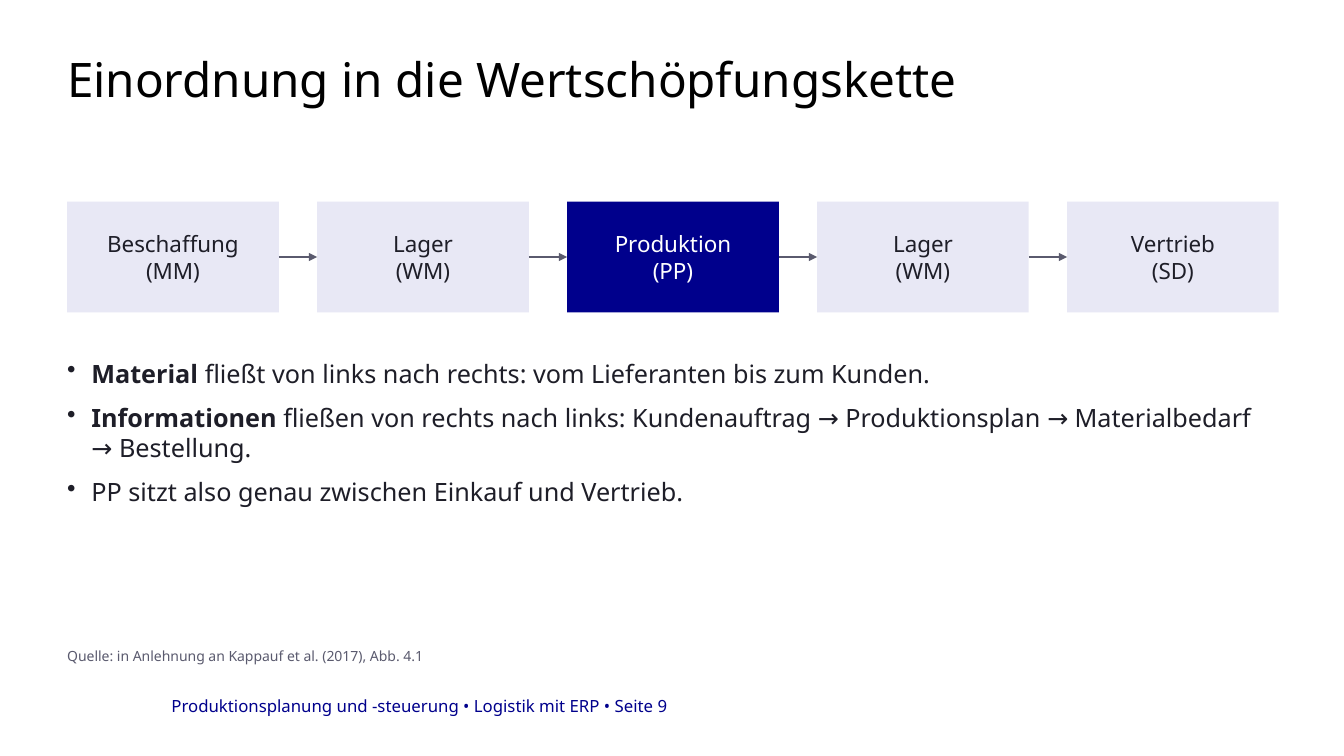
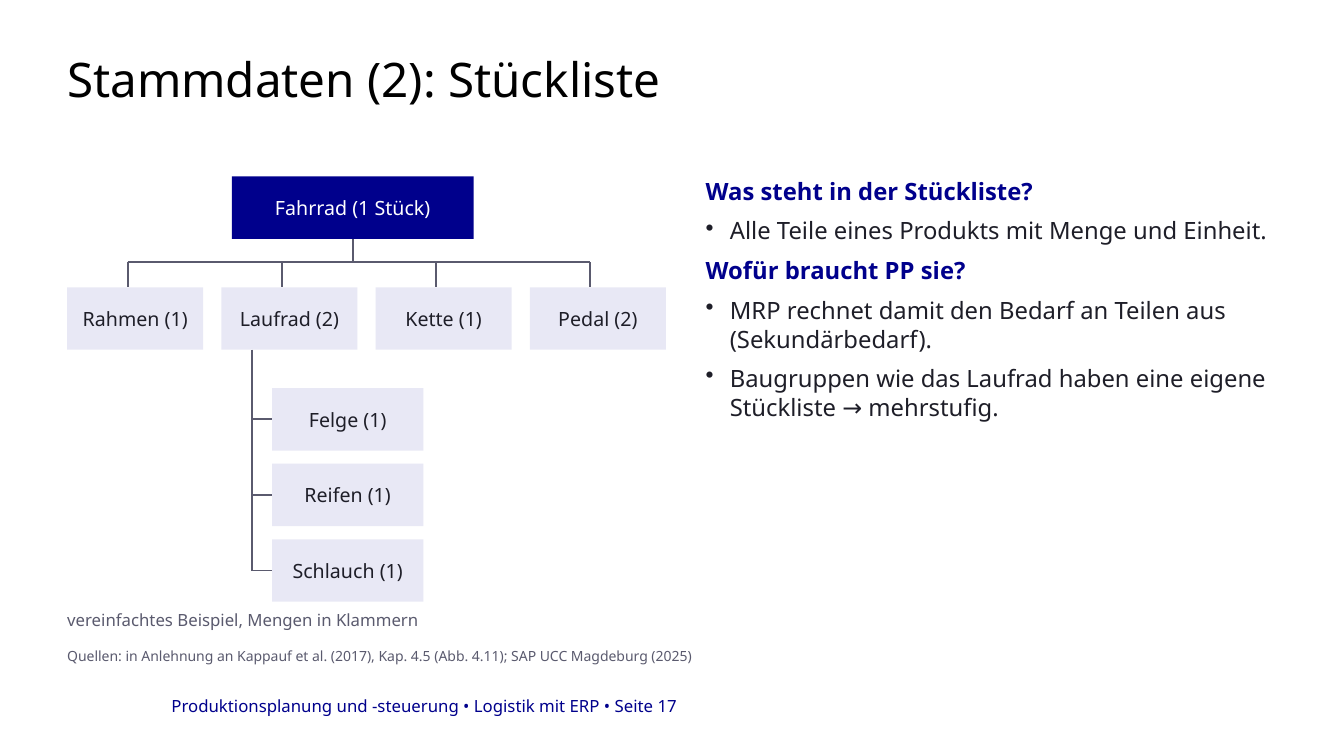
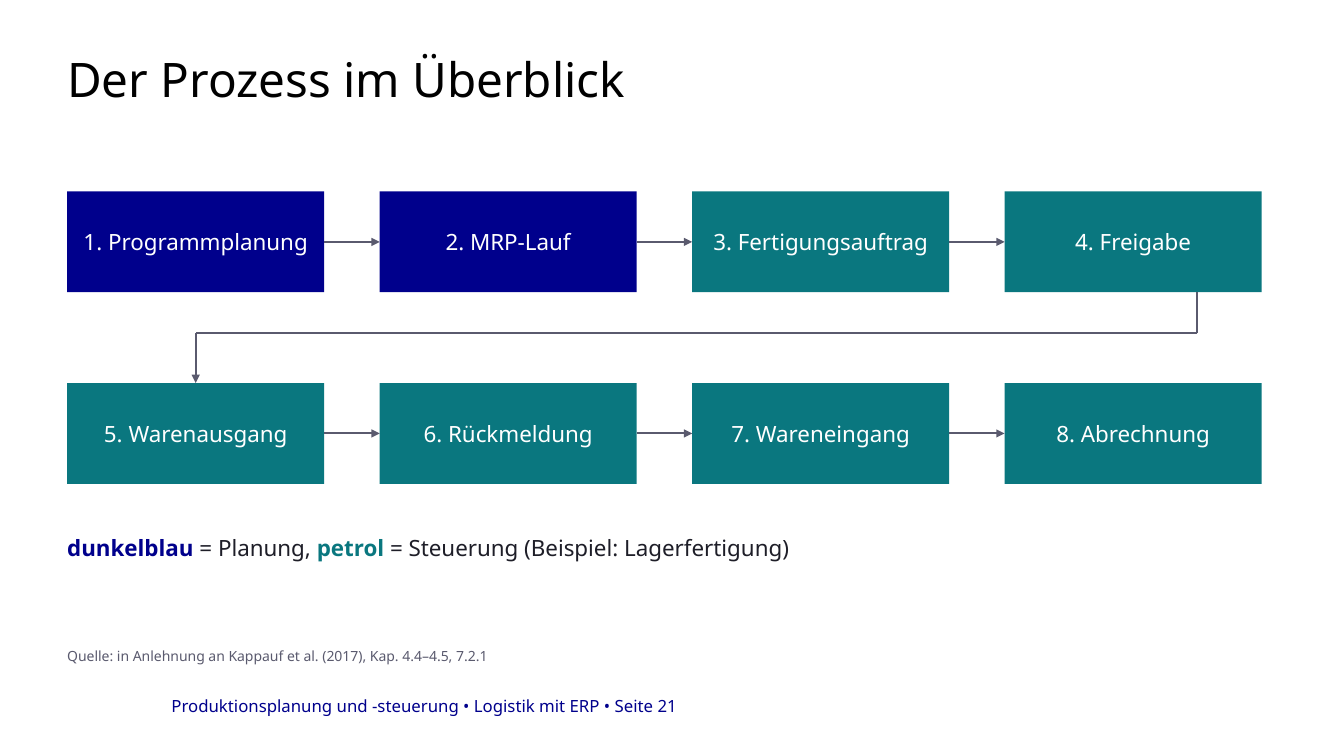
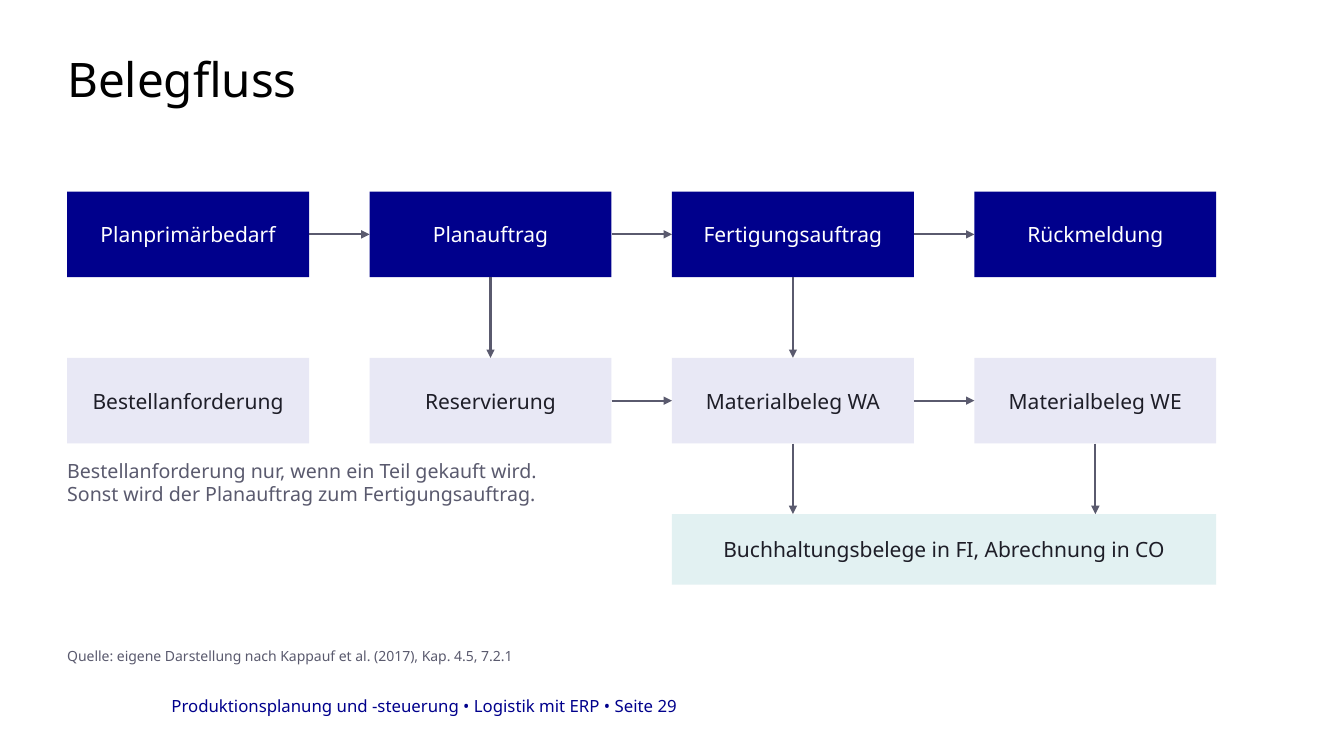
from lxml import etree
from pptx import Presentation
from pptx.dml.color import RGBColor
from pptx.enum import shapes, text
from pptx.oxml import ns
from pptx.util import Pt

FONT = "Noto Sans"
NAVY, PETROL, LAVENDER, MINT = "00008C", "0A777F", "E8E8F5", "E2F1F2"
INK, GREY, BLACK, WHITE = "1E1E28", "5A5A6E", "000000", "FFFFFF"
MARGIN, CONTENT_WIDTH = 48, 864
SITES = [(0.5, 0), (0, 0.5), (0.5, 1), (1, 0.5)]
TOP, LEFT, BOTTOM, RIGHT = range(4)


def apply(target, formats):
    for name, value in formats.items():
        setattr(target, name, value)


def paint(fill, colour):
    fill.solid()
    fill.fore_color.rgb = RGBColor.from_string(colour)


def add_bullet(paragraph):
    properties = paragraph._p.get_or_add_pPr()
    properties.set("marL", str(Pt(17.28)))
    properties.set("indent", str(-Pt(17.28)))
    etree.SubElement(properties, ns.qn("a:buChar")).set("char", "•")


def run(content, colour=INK, bold=False):
    return content, colour, bold


def write(frame, paragraphs, size, insets=(0, 0), bulleted=(), anchor=text.MSO_ANCHOR.TOP, **formats):
    side, top = insets
    apply(frame, {
        "word_wrap": True, "vertical_anchor": anchor,
        "margin_left": Pt(side), "margin_right": Pt(side),
        "margin_top": Pt(top), "margin_bottom": Pt(top),
    })
    for index, runs in enumerate(paragraphs):
        paragraph = frame.add_paragraph() if index else frame.paragraphs[0]
        if index in bulleted:
            add_bullet(paragraph)
        apply(paragraph, formats)
        for content, colour, bold in runs:
            piece = paragraph.add_run()
            piece.text = content
            apply(piece.font, {"name": FONT, "size": Pt(size), "bold": bold})
            paint(piece.font.fill, colour)


def add_text(slide, area, paragraphs, size, **formats):
    shape = slide.shapes.add_textbox(*map(Pt, area))
    write(shape.text_frame, paragraphs, size, **formats)
    return shape


def add_box(slide, area, label, fill, size, side=10.8, after=4):
    box = slide.shapes.add_shape(shapes.MSO_SHAPE.RECTANGLE, *map(Pt, area))
    box.shadow.inherit = False
    paint(box.fill, fill)
    box.line.fill.background()
    colour = WHITE if fill in (NAVY, PETROL) else INK
    write(box.text_frame, [[run(line, colour)] for line in label.split("\n")], size,
          insets=(side, 4.32), anchor=text.MSO_ANCHOR.MIDDLE,
          alignment=text.PP_ALIGN.CENTER, space_after=Pt(after))
    return box


def add_grid(slide, area, pitch, rows, size, **formats):
    left, top, width, height = area
    across, down = pitch
    return [[add_box(slide, (left + column * across, top + row * down, width, height),
                     label, fill, size, **formats)
             for column, (label, fill) in enumerate(cells)]
            for row, cells in enumerate(rows)]


def site_point(box, site):
    across, down = SITES[site]
    return (box.left + across * box.width) / Pt(1), (box.top + down * box.height) / Pt(1)


def connect(slide, start, end, weight=1.5, arrow=True):
    joined = [not isinstance(place[0], (int, float)) for place in (start, end)]
    points = [site_point(*place) if join else place for place, join in zip((start, end), joined)]
    connector = slide.shapes.add_connector(
        shapes.MSO_CONNECTOR.STRAIGHT, *(Pt(value) for point in points for value in point))
    if joined[0]:
        connector.begin_connect(*start)
    if joined[1]:
        connector.end_connect(*end)
    connector.line.width = Pt(weight)
    paint(connector.line.fill, GREY)
    if arrow:
        line = connector.line._get_or_add_ln()
        etree.SubElement(line, ns.qn("a:tailEnd")).set("type", "triangle")
    etree.SubElement(connector._element.spPr, ns.qn("a:effectLst"))


def chain(slide, boxes):
    for first, second in zip(boxes, boxes[1:]):
        connect(slide, (first, RIGHT), (second, LEFT))


def new_slide(presentation, title, source, page):
    slide = presentation.slides.add_slide(presentation.slide_layouts[6])
    footer = f"Produktionsplanung und -steuerung • Logistik mit ERP • Seite {page}"
    add_text(slide, (122.4, 496.8, 569.5, 14.4), [[run(footer, NAVY)]], 12)
    heading = add_text(slide, (MARGIN, 31.7, CONTENT_WIDTH, 51), [[run(title, BLACK)]], 34,
                       line_spacing=0.9)
    heading.text_frame.margin_top = Pt(8.64)
    add_text(slide, (MARGIN, 462.24, CONTENT_WIDTH, 21.6), [[run(source, GREY)]], 10,
             space_after=Pt(4))
    return slide


def value_chain_slide(presentation):
    slide = new_slide(presentation, "Einordnung in die Wertschöpfungskette",
                      "Quelle: in Anlehnung an Kappauf et al. (2017), Abb. 4.1", 9)
    steps = [("Beschaffung\n(MM)", LAVENDER), ("Lager\n(WM)", LAVENDER), ("Produktion\n(PP)", NAVY),
             ("Lager\n(WM)", LAVENDER), ("Vertrieb\n(SD)", LAVENDER)]
    boxes, = add_grid(slide, (MARGIN, 144, 151.2, 79.2), (178.56, 0), [steps], 16, after=0)
    chain(slide, boxes)
    add_text(slide, (MARGIN, 255.6, CONTENT_WIDTH, 172.8), [
        [run("Material ", bold=True),
         run("fließt von links nach rechts: vom Lieferanten bis zum Kunden.")],
        [run("Informationen ", bold=True),
         run("fließen von rechts nach links: Kundenauftrag → Produktionsplan → "
             "Materialbedarf → Bestellung.")],
        [run("PP sitzt also genau zwischen Einkauf und Vertrieb.")],
    ], 18, bulleted=range(3), space_after=Pt(10))


def parts_tree(slide, left, top):
    height, small = 44.64, {"size": 14, "side": 3.6}
    thin = {"weight": 1.25, "arrow": False}
    assemblies_top, bus = top + 79.2, top + 61.2
    root = add_box(slide, (left + 117.6, top, 172.8, height), "Fahrrad (1 Stück)", NAVY, **small)
    names = ["Rahmen (1)", "Laufrad (2)", "Kette (1)", "Pedal (2)"]
    add_grid(slide, (left, assemblies_top, 97.2, height), (110.16, 0),
             [[(name, LAVENDER) for name in names]], **small)
    parts = add_grid(slide, (left + 146.4, top + 151.2, 108, height), (0, 54),
                     [[(name, LAVENDER)] for name in ("Felge (1)", "Reifen (1)", "Schlauch (1)")],
                     **small)
    drops = [left + 43.2 + 110.16 * index for index in range(len(names))]
    connect(slide, (root, BOTTOM), (site_point(root, BOTTOM)[0], bus), **thin)
    connect(slide, (drops[0], bus), (drops[-1], bus), **thin)
    for drop in drops:
        connect(slide, (drop, bus), (drop, assemblies_top), **thin)
    trunk = left + 132
    levels = [site_point(part, LEFT)[1] for part, in parts]
    connect(slide, (trunk, assemblies_top + height), (trunk, levels[-1]), **thin)
    for (part,), level in zip(parts, levels):
        connect(slide, (trunk, level), (part, LEFT), **thin)


def parts_list_slide(presentation):
    slide = new_slide(presentation, "Stammdaten (2): Stückliste",
                      "Quellen: in Anlehnung an Kappauf et al. (2017), Kap. 4.5 (Abb. 4.11); "
                      "SAP UCC Magdeburg (2025)", 17)
    parts_tree(slide, MARGIN, 126)
    add_text(slide, (MARGIN, 435.6, 432, 21.6),
             [[run("vereinfachtes Beispiel, Mengen in Klammern", GREY)]], 12, space_after=Pt(4))
    add_text(slide, (504, 126, 408, 316.8), [
        [run("Was steht in der Stückliste?", NAVY, True)],
        [run("Alle Teile eines Produkts mit Menge und Einheit.")],
        [run("Wofür braucht PP sie?", NAVY, True)],
        [run("MRP rechnet damit den Bedarf an Teilen aus (Sekundärbedarf).")],
        [run("Baugruppen wie das Laufrad haben eine eigene Stückliste → mehrstufig.")],
    ], 17, bulleted=(1, 3, 4), space_after=Pt(8))


def process_slide(presentation):
    slide = new_slide(presentation, "Der Prozess im Überblick",
                      "Quelle: in Anlehnung an Kappauf et al. (2017), Kap. 4.4–4.5, 7.2.1", 21)
    names = ["Programmplanung", "MRP-Lauf", "Fertigungsauftrag", "Freigabe",
             "Warenausgang", "Rückmeldung", "Wareneingang", "Abrechnung"]
    steps = [(f"{number}. {name}", NAVY if number < 3 else PETROL)
             for number, name in enumerate(names, 1)]
    rows = add_grid(slide, (MARGIN, 136.8, 183.6, 72), (223.2, 136.8), [steps[:4], steps[4:]], 16)
    for boxes in rows:
        chain(slide, boxes)
    release, issue = rows[0][-1], rows[1][0]
    exit_x = (release.left + 0.75 * release.width) / Pt(1)
    exit_y = site_point(release, BOTTOM)[1]
    entry_x, turn = site_point(issue, TOP)[0], exit_y + 28.8
    connect(slide, (exit_x, exit_y), (exit_x, turn), arrow=False)
    connect(slide, (exit_x, turn), (entry_x, turn), arrow=False)
    connect(slide, (entry_x, turn), (issue, TOP))
    add_text(slide, (MARGIN, 381.6, CONTENT_WIDTH, 36), [
        [run("dunkelblau", NAVY, True), run(" = Planung, "), run("petrol", PETROL, True),
         run(" = Steuerung (Beispiel: Lagerfertigung)")],
    ], 16, space_after=Pt(4))


def document_flow_slide(presentation):
    slide = new_slide(presentation, "Belegfluss",
                      "Quelle: eigene Darstellung nach Kappauf et al. (2017), Kap. 4.5, 7.2.1", 29)
    orders = ["Planprimärbedarf", "Planauftrag", "Fertigungsauftrag", "Rückmeldung"]
    documents = ["Bestellanforderung", "Reservierung", "Materialbeleg WA", "Materialbeleg WE"]
    upper, lower = add_grid(slide, (MARGIN, 136.8, 172.8, 61.2), (216, 118.8),
                            [[(name, NAVY) for name in orders],
                             [(name, LAVENDER) for name in documents]], 15)
    chain(slide, upper)
    chain(slide, lower[1:])
    for column in (1, 2):
        connect(slide, (upper[column], BOTTOM), (lower[column], TOP))
    ledger_top = 367.2
    add_box(slide, (MARGIN + 2 * 216, ledger_top, 388.8, 50.4),
            "Buchhaltungsbelege in FI, Abrechnung in CO", MINT, 15)
    for document in lower[2:]:
        connect(slide, (document, BOTTOM), (site_point(document, BOTTOM)[0], ledger_top))
    add_text(slide, (MARGIN, 327.6, 374.4, 86.4), [
        [run("Bestellanforderung nur, wenn ein Teil gekauft wird. "
             "Sonst wird der Planauftrag zum Fertigungsauftrag.", GREY)],
    ], 14, space_after=Pt(4))


def main():
    presentation = Presentation()
    apply(presentation, {"slide_width": Pt(960), "slide_height": Pt(540)})
    for build in (value_chain_slide, parts_list_slide, process_slide, document_flow_slide):
        build(presentation)
    presentation.save("out.pptx")


if __name__ == "__main__":
    main()
